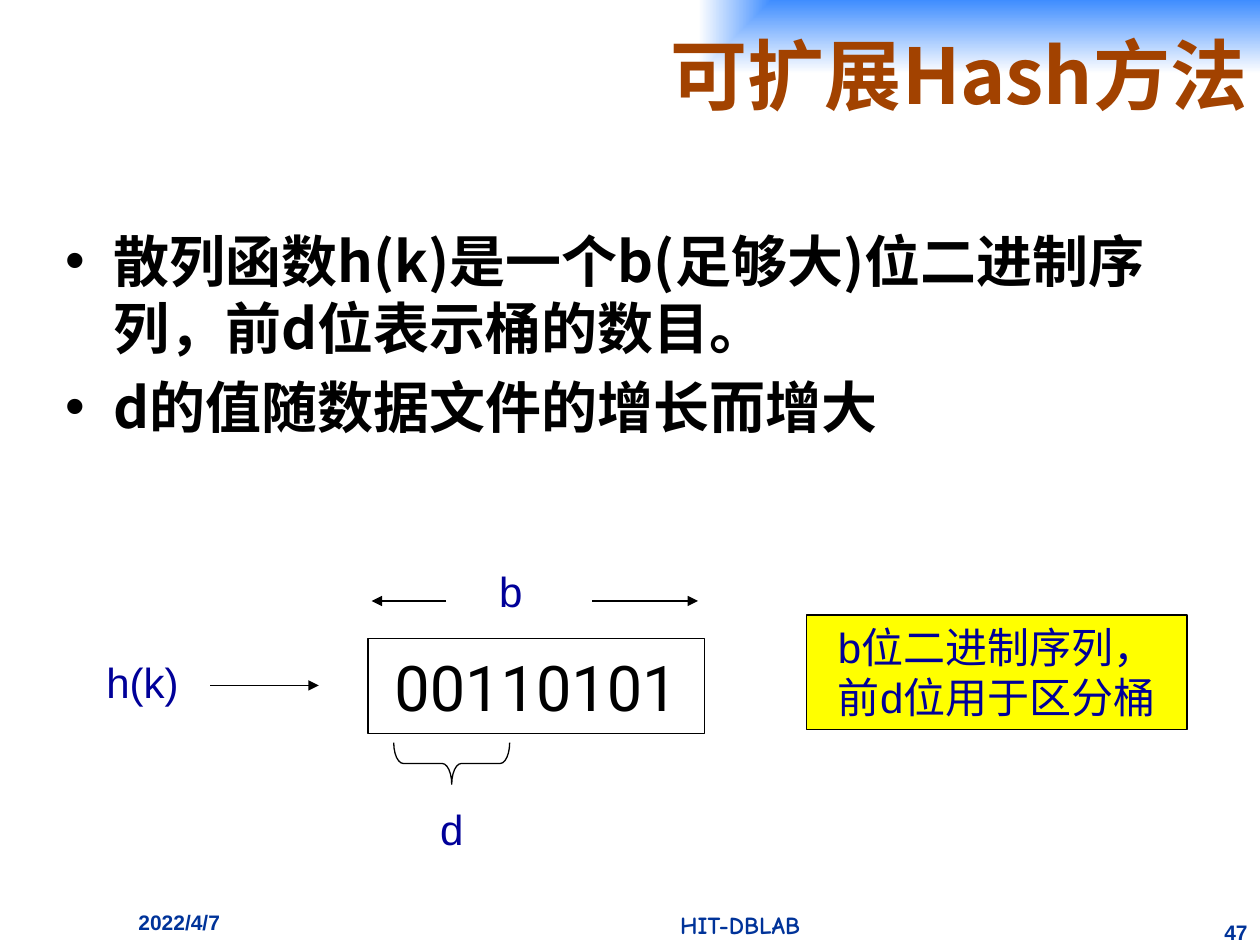
import pptx
import pptx.dml.color
import pptx.enum.shapes
import pptx.enum.text
import pptx.oxml
import pptx.oxml.ns
import pptx.util
from dataclasses import dataclass

Inches = pptx.util.Inches
Pt = pptx.util.Pt
Shape = pptx.enum.shapes.MSO_SHAPE
Align = pptx.enum.text.PP_ALIGN
Anchor = pptx.enum.text.MSO_ANCHOR
qn = pptx.oxml.ns.qn


def color(value):
    return pptx.dml.color.RGBColor.from_string(value)


def element(tag, attributes="", content=""):
    """Make one drawing element."""
    namespace = pptx.oxml.ns.nsdecls("a")
    return pptx.oxml.parse_xml(
        f"<a:{tag} {namespace} {attributes}>{content}</a:{tag}>")


@dataclass(frozen=True)
class Theme:
    white: str = "FFFFFF"
    black: str = "000000"
    sky: str = "3F8DFF"
    yellow: str = "FFFF00"
    chinese: str = "Noto Sans CJK SC"
    line_width: float = 0.75
    # Text styles: font name, size, colour, bold
    title: tuple = ("Noto Sans CJK SC", 44, "A24200", True)
    body: tuple = ("Noto Sans CJK JP", 32, "000000", True)
    bits: tuple = ("Roboto", 36, "000000", False)
    label: tuple = ("Arial", 24, "000099", False)
    footer: tuple = ("Arial", 12, "003399", True)
    lab: tuple = ("Comic Neue", 14, "003399", True)


class SlideBuilder:
    def __init__(self, slide, theme):
        self.slide = slide
        self.theme = theme

    def fill_text(self, shape, paragraphs, style, align=Align.LEFT,
                  anchor=Anchor.TOP, wrap=True, bullet=None):
        name, size, text_color, bold = style
        frame = shape.text_frame
        frame.word_wrap = wrap
        frame.vertical_anchor = anchor
        for index, text in enumerate(paragraphs):
            paragraph = frame.add_paragraph() if index else frame.paragraphs[0]
            paragraph.alignment = align
            if index:
                paragraph.space_before = Pt(size * 0.2)
            if bullet:
                properties = paragraph._p.get_or_add_pPr()
                properties.set("marL", str(Inches(0.38)))
                properties.set("indent", str(-Inches(0.38)))
                properties.append(element("buFont", 'typeface="Arial"'))
                properties.append(element("buChar", f'char="{bullet}"'))
            run = paragraph.add_run()
            run.text = text
            values = {"name": name, "size": Pt(size), "bold": bold}
            for key, value in values.items():
                setattr(run.font, key, value)
            run.font.color.rgb = color(text_color)
            east_asian = name if "CJK" in name else self.theme.chinese
            run.font._element.find(qn("a:latin")).addnext(
                element("ea", f'typeface="{east_asian}"'))

    def text(self, box, paragraphs, style, **options):
        shape = self.slide.shapes.add_textbox(*map(Inches, box))
        self.fill_text(shape, paragraphs, style, **options)

    def label(self, box, text):
        self.text(box, [text], self.theme.label, align=Align.CENTER, wrap=False)

    def shape(self, kind, box, fill=None, outlined=True):
        shape = self.slide.shapes.add_shape(kind, *map(Inches, box))
        shape.shadow.inherit = False
        if fill:
            shape.fill.solid()
            shape.fill.fore_color.rgb = color(fill)
        else:
            shape.fill.background()
        if outlined:
            self.outline(shape.line)
        else:
            shape.line.fill.background()
        return shape

    def outline(self, line):
        line.color.rgb = color(self.theme.black)
        line.width = Pt(self.theme.line_width)

    def title_band(self, box, text):
        shape = self.shape(Shape.RECTANGLE, box, outlined=False)
        shape.fill.gradient()
        for stop, value in zip(shape.fill.gradient_stops,
                               (self.theme.sky, self.theme.white)):
            stop.color.rgb = color(value)
        # Radiate from the top right corner
        gradient = shape._element.spPr.find(qn("a:gradFill"))
        gradient.replace(
            gradient.find(qn("a:lin")),
            element("path", 'path="rect"', '<a:fillToRect l="100000" b="100000"/>'))
        self.fill_text(shape, [text], self.theme.title,
                       align=Align.RIGHT, anchor=Anchor.MIDDLE)

    def arrow(self, start, end, y):
        connector = self.slide.shapes.add_connector(
            pptx.enum.shapes.MSO_CONNECTOR.STRAIGHT,
            Inches(start), Inches(y), Inches(end), Inches(y))
        self.outline(connector.line)
        connector.line._get_or_add_ln().append(element("tailEnd", 'type="triangle"'))
        connector._element.spPr.append(element("effectLst"))


def main():
    presentation = pptx.Presentation()
    presentation.slide_width = Inches(10)
    presentation.slide_height = Inches(7.5)
    theme = Theme()
    slide = presentation.slides.add_slide(presentation.slide_layouts[6])
    builder = SlideBuilder(slide, theme)

    # Title and bullets
    builder.title_band((1.08, 0, 8.92, 1.17), "可扩展Hash方法")
    builder.text((0.42, 1.75, 9, 2.08), [
        "散列函数h(k)是一个b(足够大)位二进制序列，前d位表示桶的数目。",
        "d的值随数据文件的增长而增大",
    ], theme.body, bullet="•")

    # Footer
    builder.text((1, 7.17, 1.75, 0.33), ["2022/4/7"], theme.footer)
    builder.text((3.5, 7.17, 4.75, 0.33), ["HIT-DBLAB"], theme.lab,
                 align=Align.CENTER)
    builder.text((9.58, 7.25, 0.42, 0.25), ["47"], theme.footer,
                 align=Align.RIGHT)

    # Bit sequence with the brace under its first d bits
    bits = builder.shape(Shape.RECTANGLE, (2.92, 5.07, 2.67, 0.75), theme.white)
    builder.fill_text(bits, ["00110101"], theme.bits, align=Align.CENTER,
                      anchor=Anchor.MIDDLE, wrap=False)
    brace = builder.shape(Shape.RIGHT_BRACE, (3.42, 5.6, 0.33, 0.92))
    brace.rotation = 90
    brace.adjustments[0] = 0.23

    # Arrows: width b to both sides, then h(k) to the bits
    for start, end, y in ((3.54, 2.95, 4.77), (4.7, 5.54, 4.77), (1.67, 2.53, 5.44)):
        builder.arrow(start, end, y)

    # Labels
    builder.label((3.85, 4.44, 0.41, 0.51), "b")
    builder.label((3.38, 6.33, 0.41, 0.51), "d")
    builder.label((0.72, 5.16, 0.82, 0.51), "h(k)")

    # Explanation
    note = builder.shape(Shape.RECTANGLE, (6.4, 4.88, 3.02, 0.91), theme.yellow)
    builder.fill_text(note, ["b位二进制序列，前d位用于区分桶"], theme.label,
                      align=Align.CENTER)

    presentation.save("out.pptx")


if __name__ == "__main__":
    main()
